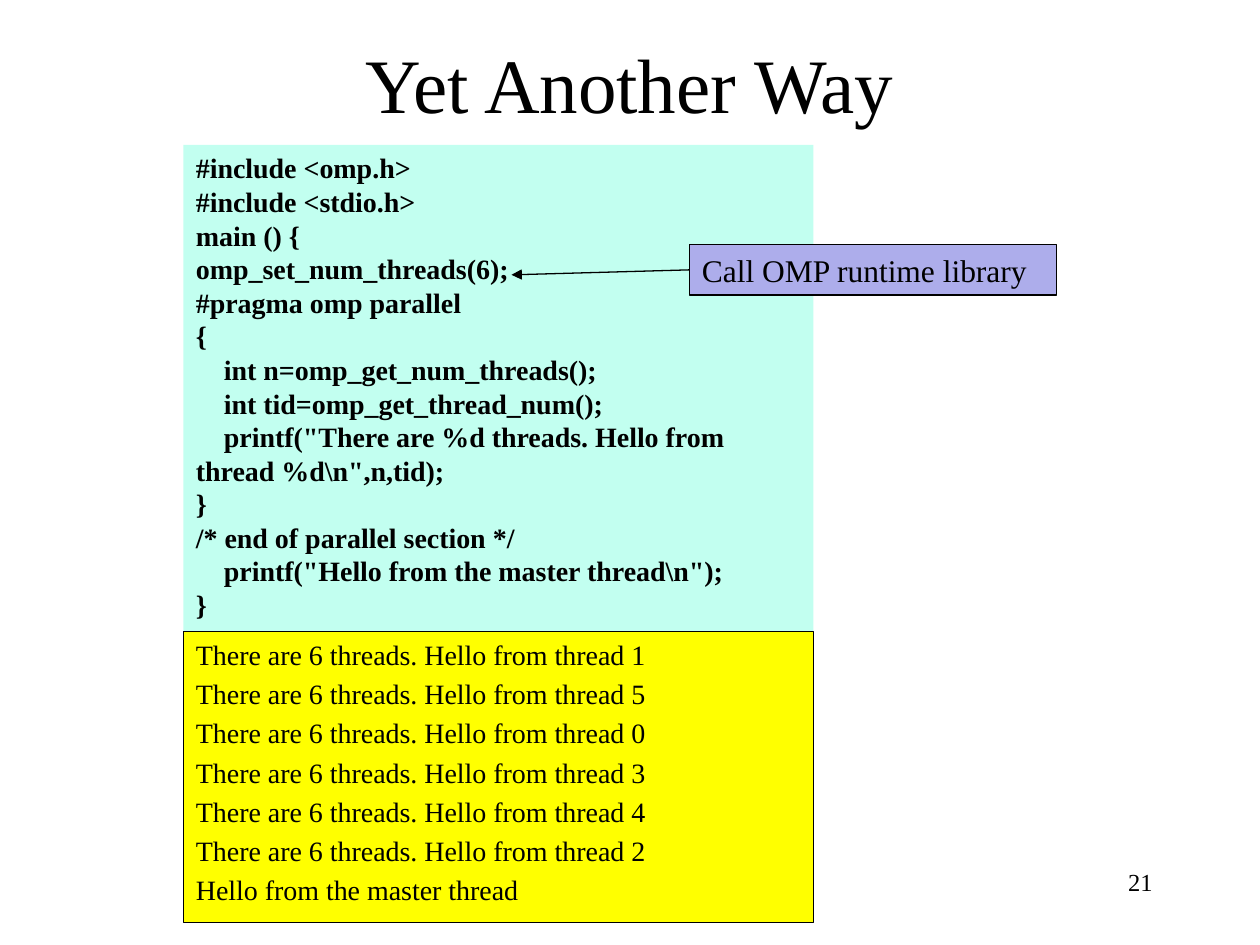
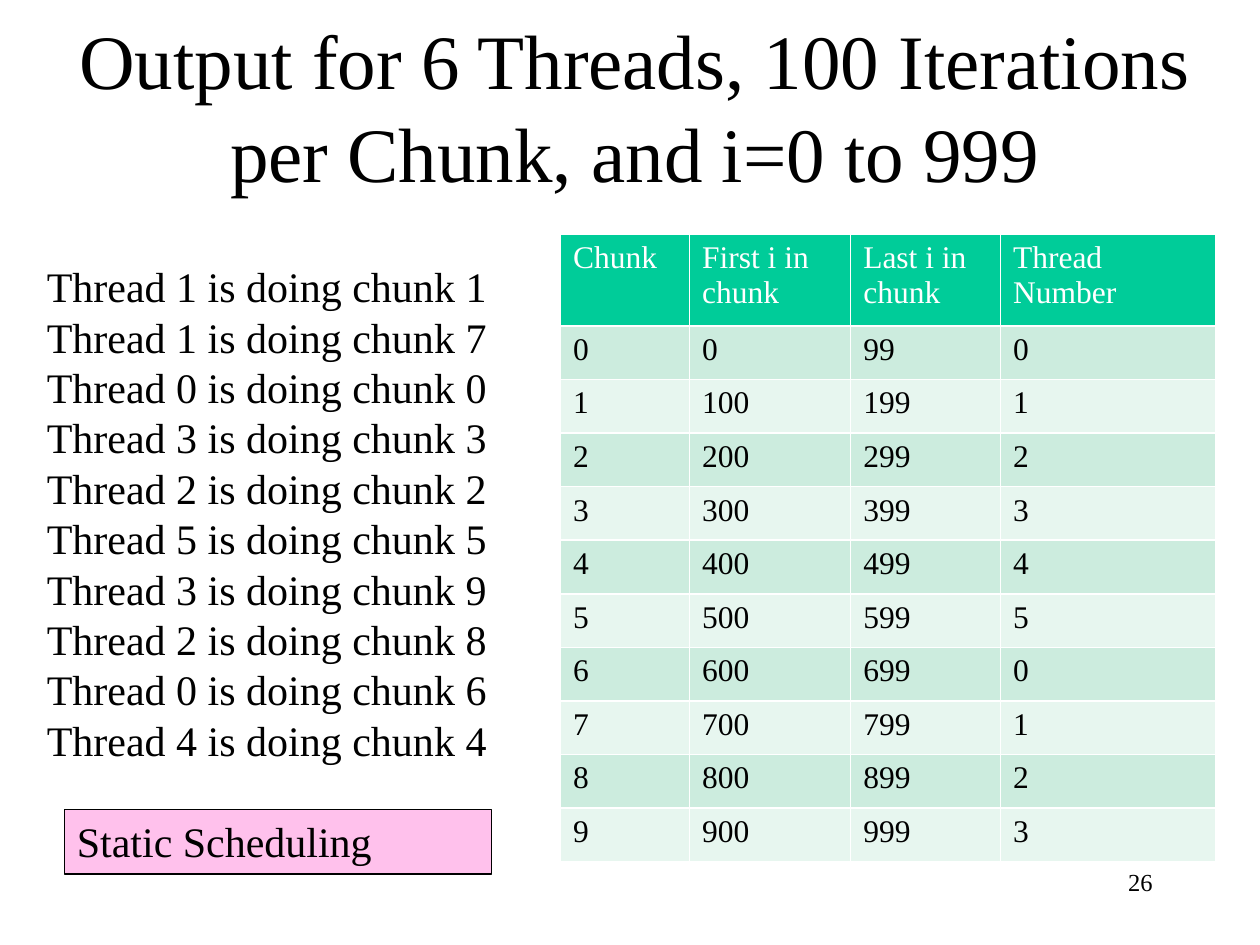
import dataclasses

import pptx
import pptx.dml.color
import pptx.enum.shapes
import pptx.enum.text
import pptx.oxml
import pptx.oxml.ns
import pptx.util

Cm = pptx.util.Cm
Pt = pptx.util.Pt
RGB = pptx.dml.color.RGBColor.from_string
ALIGN = pptx.enum.text.PP_ALIGN
ANCHOR = pptx.enum.text.MSO_ANCHOR
NS = pptx.oxml.ns.nsdecls("a")


@dataclasses.dataclass(frozen=True)
class Theme:
    font: str = "Times New Roman"
    ink: str = "000000"
    paper: str = "FFFFFF"
    code: str = "C2FFF0"
    output: str = "FFFF00"
    callout: str = "ADADEB"
    label: str = "FFC1EC"
    header: str = "00CC99"
    bands: tuple = ("CCECDE", "E7F6EF")
    title_size: int = 44
    body_size: int = 24
    note_size: int = 18
    code_size: int = 16
    number_size: int = 14
    line_width: float = 0.75
    border_width: int = 1


THEME = Theme()

CODE = [
    "#include <omp.h>",
    "#include <stdio.h>",
    "main () {",
    "omp_set_num_threads(6);",
    "#pragma omp parallel",
    "{",
    "int n=omp_get_num_threads();",
    "int tid=omp_get_thread_num();",
    'printf("There are %d threads. Hello from thread %d\\n",n,tid);',
    "}",
    "/* end of parallel section */",
    'printf("Hello from the master thread\\n");',
    "}",
]
STATEMENTS = ("int", "printf")
THREAD_ORDER = [1, 5, 0, 3, 4, 2]
CHUNK_ORDER = [1, 7, 0, 3, 2, 5, 9, 8, 6, 4]
THREADS = 6
CHUNK_SIZE = 100


def set_attributes(target, values):
    for name, value in values.items():
        setattr(target, name, value)


def write_lines(tf, lines, size, color=THEME.ink, bold=False, **paragraph):
    """Write one paragraph per line, with the given paragraph format."""
    for i, line in enumerate(lines):
        p = tf.paragraphs[0] if i == 0 else tf.add_paragraph()
        set_attributes(p, paragraph)
        r = p.add_run()
        r.text = line
        set_attributes(r.font, {"name": THEME.font, "size": Pt(size), "bold": bold})
        r.font.color.rgb = RGB(color)


def place(sp, box):
    names = ("left", "top", "width", "height")
    set_attributes(sp, dict(zip(names, map(Cm, box))))


def setup_frame(tf, anchor=ANCHOR.TOP):
    set_attributes(tf, {
        "word_wrap": True,
        "auto_size": pptx.enum.text.MSO_AUTO_SIZE.NONE,
        "vertical_anchor": anchor,
    })


def add_title(slide, text, box):
    sp = slide.shapes.title
    place(sp, box)
    setup_frame(sp.text_frame, ANCHOR.MIDDLE)
    write_lines(sp.text_frame, [text], THEME.title_size, alignment=ALIGN.CENTER)


def add_number(slide, number):
    sp = slide.shapes.add_textbox(Cm(18.21), Cm(17.35), Cm(5.28), Cm(1.27))
    setup_frame(sp.text_frame)
    write_lines(sp.text_frame, [str(number)], THEME.number_size, alignment=ALIGN.RIGHT)


def add_plain_list(slide, lines, box):
    """Fill the body placeholder with lines that have no bullets."""
    sp = slide.placeholders[1]
    place(sp, box)
    setup_frame(sp.text_frame)
    write_lines(sp.text_frame, lines, THEME.body_size, space_before=Pt(0))
    for p in sp.text_frame.paragraphs:
        pPr = p._p.get_or_add_pPr()
        pPr.set("marL", "0")
        pPr.set("indent", "0")
        pPr.append(pptx.oxml.parse_xml(f"<a:buNone {NS}/>"))


def add_panel(slide, lines, box, fill, size, outlined=True, bold=False, gap=0.2):
    """Add a filled text rectangle; gap is the space before, in line sizes."""
    sp = slide.shapes.add_shape(pptx.enum.shapes.MSO_SHAPE.RECTANGLE, *map(Cm, box))
    sp.shadow.inherit = False
    sp.fill.solid()
    sp.fill.fore_color.rgb = RGB(fill)
    if outlined:
        sp.line.color.rgb = RGB(THEME.ink)
        sp.line.width = Pt(THEME.line_width)
    else:
        sp.line.fill.background()
    setup_frame(sp.text_frame)
    write_lines(sp.text_frame, lines, size, bold=bold, alignment=ALIGN.LEFT,
                space_before=Pt(gap * size))
    return sp


def indent_statements(sp):
    """Indent the first line of each statement by four space widths."""
    for p in sp.text_frame.paragraphs:
        if p.text.startswith(STATEMENTS):
            p._p.get_or_add_pPr().set("indent", str(Pt(THEME.code_size)))


def add_arrow_from_left_side(slide, sp, x, y):
    line = slide.shapes.add_connector(
        pptx.enum.shapes.MSO_CONNECTOR.STRAIGHT, sp.left, sp.top, Cm(x), Cm(y))
    line.begin_connect(sp, 1)
    line.line.color.rgb = RGB(THEME.ink)
    line.line.width = Pt(THEME.line_width)
    line.line._get_or_add_ln().append(
        pptx.oxml.parse_xml(f'<a:tailEnd {NS} type="triangle"/>'))
    line._element.spPr.append(pptx.oxml.parse_xml(f"<a:effectLst {NS}/>"))


def add_borders(cell):
    tcPr = cell._tc.get_or_add_tcPr()
    for side in "LRTB":
        tcPr.append(pptx.oxml.parse_xml(
            f'<a:ln{side} {NS} w="{Pt(THEME.border_width)}"><a:solidFill>'
            f'<a:srgbClr val="{THEME.paper}"/></a:solidFill></a:ln{side}>'))


def add_chunk_table(slide, rows, left, top, widths, heights):
    table = slide.shapes.add_table(
        len(rows), len(widths), Cm(left), Cm(top),
        Cm(sum(widths)), Cm(sum(heights))).table
    for column, width in zip(table.columns, widths):
        column.width = Cm(width)
    for i, (row, height, values) in enumerate(zip(table.rows, heights, rows)):
        row.height = Cm(height)
        is_header = i == 0
        fill = THEME.header if is_header else THEME.bands[(i - 1) % 2]
        color = THEME.paper if is_header else THEME.ink
        for cell, value in zip(row.cells, values):
            add_borders(cell)
            cell.fill.solid()
            cell.fill.fore_color.rgb = RGB(fill)
            write_lines(cell.text_frame, [str(value)], THEME.note_size, color)


def build_runtime_call(prs):
    slide = prs.slides.add_slide(prs.slide_layouts[5])
    add_title(slide, "Yet Another Way", (1.9, 0.08, 21.59, 3.18))
    add_number(slide, 21)
    code = add_panel(slide, CODE, (3.7, 2.92, 12.7, 9.83), THEME.code,
                     THEME.code_size, outlined=False, bold=True, gap=0)
    indent_statements(code)
    output = [f"There are {THREADS} threads. Hello from thread {n}" for n in THREAD_ORDER]
    add_panel(slide, output + ["Hello from the master thread"],
              (3.7, 12.73, 12.7, 5.87), THEME.output, THEME.code_size)
    callout = add_panel(slide, ["Call OMP runtime library"],
                        (13.9, 4.93, 7.4, 1.02), THEME.callout, THEME.note_size)
    add_arrow_from_left_side(slide, callout, 10.31, 5.54)


def build_static_schedule(prs):
    slide = prs.slides.add_slide(prs.slide_layouts[1])
    add_title(slide, "Output for 6 Threads, 100 Iterations per Chunk, and i=0 to 999",
              (1.1, 0.53, 23.4, 3.18))
    add_plain_list(slide, [f"Thread {n % THREADS} is doing chunk {n}" for n in CHUNK_ORDER],
                   (0.69, 5.13, 9.8, 11.43))
    add_number(slide, 26)
    rows = [("Chunk", "First i in chunk", "Last i in chunk", "Thread Number")]
    for n in range(len(CHUNK_ORDER)):
        first = n * CHUNK_SIZE
        rows.append((n, first, first + CHUNK_SIZE - 1, n % THREADS))
    add_chunk_table(slide, rows, 11.3, 4.72, (2.6, 3.25, 3.02, 4.33),
                    [1.85] + [1.08] * len(CHUNK_ORDER))
    add_panel(slide, ["Static Scheduling"], (1.3, 16.32, 8.61, 1.3),
              THEME.label, THEME.body_size)


def main():
    prs = pptx.Presentation()
    set_attributes(prs, {"slide_width": Cm(25.4), "slide_height": Cm(19.05)})
    build_runtime_call(prs)
    build_static_schedule(prs)
    prs.save("out.pptx")


if __name__ == "__main__":
    main()
